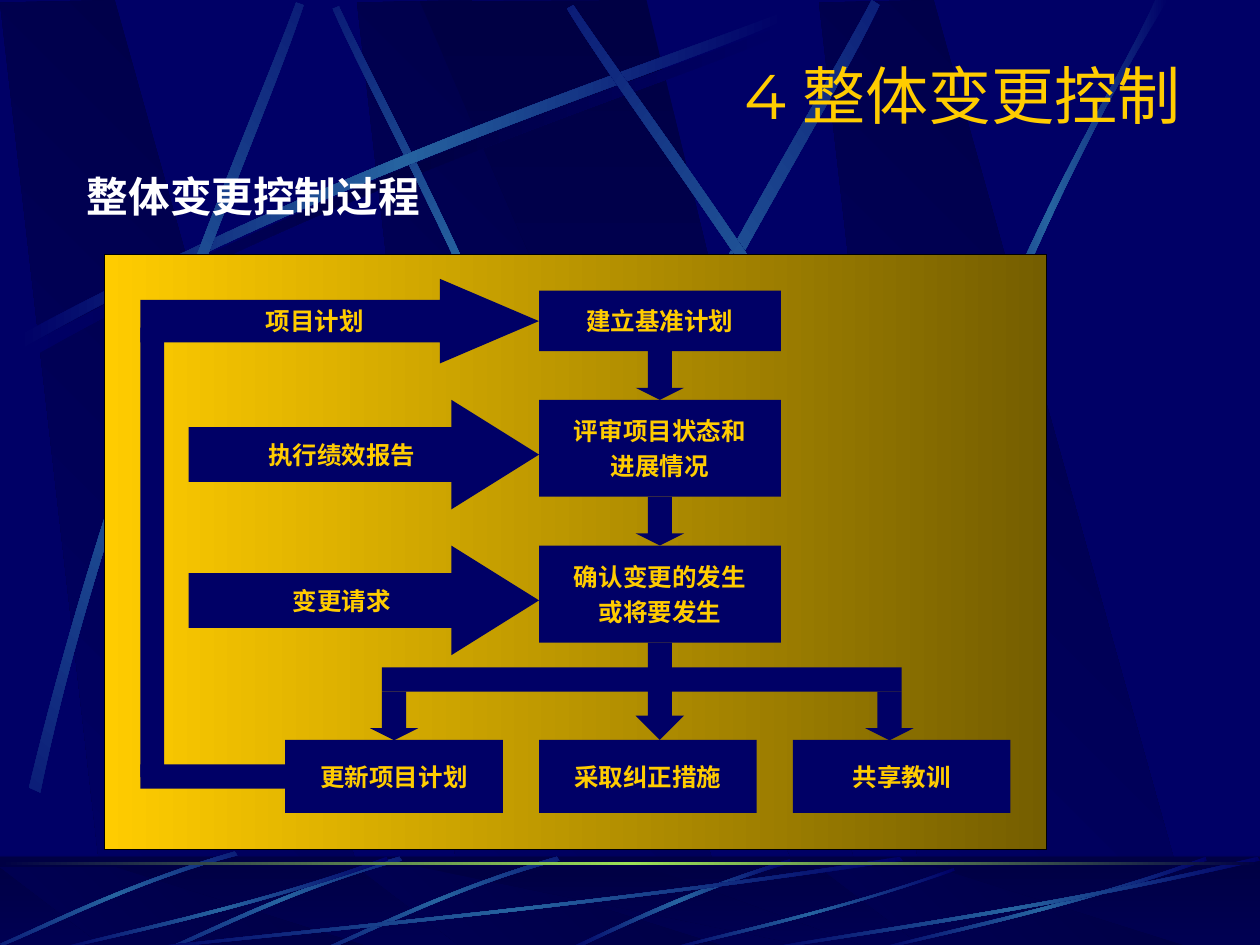
"""Build the slide on the integrated change control process."""
from math import cos, radians, sin

from lxml import etree
from pptx import Presentation
from pptx.dml.color import RGBColor
from pptx.enum.shapes import MSO_SHAPE
from pptx.enum.text import MSO_ANCHOR, MSO_AUTO_SIZE, PP_ALIGN
from pptx.oxml.ns import qn
from pptx.util import Pt

RECT, DOWN, RIGHT = MSO_SHAPE.RECTANGLE, MSO_SHAPE.DOWN_ARROW, MSO_SHAPE.RIGHT_ARROW
MIDDLE, NO_FIT = MSO_ANCHOR.MIDDLE, MSO_AUTO_SIZE.NONE
CENTER, FLUSH, LEFT = PP_ALIGN.CENTER, PP_ALIGN.RIGHT, PP_ALIGN.LEFT
NAVY, NIGHT, STEEL = RGBColor(0, 0, 0x66), RGBColor(0, 0, 0x44), RGBColor(0x26, 0x63, 0xA0)
GOLD, OLIVE = RGBColor(0xFF, 0xCC, 0), RGBColor(0x75, 0x5E, 0)
LIME, WHITE, BLACK = RGBColor(0x9C, 0xE1, 0x57), RGBColor(255, 255, 255), RGBColor(0, 0, 0)

TITLE = "4 整体变更控制 "
HEAD = "整体变更控制过程"

PANEL_X = (204, 0, 468)
WALL = [(62, 540), (217, 541.5), (65.5, 0), (0, 1.5)]
FLOOR = [(62, 543), (217, 543), (65.5, 495.5), (0, 495.5)]
WALL_BEAM = [(239.8, 0.7), (473.8, 540.7), (499.7, 540.7), (369.4, 0)]
FLOOR_BEAM = [(239.8, 495.4), (473.8, 543), (499.7, 543), (369.4, 495.4)]

SWEEP = [(10.1, 192.2), (200.2, 90), (373, 36.7), (446.4, 7.2),
         (448.6, 11.5), (375.8, 43.9), (178.6, 103), (12.2, 199.4)]
WALL_RAYS = [
    (45, [(331.2, 313.9), (281.5, 168.5), (217.4, 55.4), (193.7, 3.6),
          (190.1, 5), (212.4, 56.9), (286.6, 185.8), (326.9, 316.1)]),
    (0, SWEEP),
    (311.7, [(16.6, 450), (67, 240.5), (141.8, 75.6), (169.2, 1.4),
             (173.5, 2.9), (149, 77.8), (61.9, 265), (23, 452.9)]),
    (321.6, [(277.2, 442.1), (358.6, 230.4), (459.4, 73.4), (498.2, 0),
             (502.6, 2.9), (467.3, 77.8), (349.9, 255.6), (283.7, 447.1)]),
    (34.8, [(580.3, 403.2), (482.4, 211), (371.5, 68.4), (327.6, 2.9),
            (324, 5), (365, 72.7), (493.2, 234), (575.3, 407.5)]),
    (0, [(531.4, 283), (586.1, 124.6), (639.4, 47.5), (660.2, 0),
         (667.4, 0), (601.9, 104.4), (553.7, 231.8), (535.7, 285.8)]),
]
SLANT = [(318.2, 489.6), (255.6, 507.6), (206.6, 532.8), (184.3, 542.2),
         (185, 543.6), (207.4, 535), (262.8, 506.2), (319.7, 491.8)]
SHORT = [(221.8, 491.8), (139, 520.6), (63.4, 535.7), (31, 543.6),
         (30.2, 542.9), (61.9, 533.5), (148.3, 517), (221, 489.6)]


def shift(pts, dx, dy=0):
    return [(x + dx, y + dy) for x, y in pts]


FLOOR_RAYS = [
    (0, [(451.4, 491), (386.6, 510.5), (343.4, 534.2), (322.6, 542.9),
         (326.2, 543.6), (352.8, 530.6), (411.1, 504), (452.2, 493.2)]),
    (314.9, SLANT),
    (314.9, shift(SLANT, -90)),
    (314.9, shift(SLANT, -184, -3)),
    (0, [(516.2, 491.8), (323.3, 520.6), (148.3, 535.7), (74.2, 543.6),
         (72, 542.9), (145.4, 533.5), (345.6, 517), (514.1, 489.6)]),
    (0, SHORT),
    (0, [(545.8, 497.5), (473.8, 522.7), (408.2, 536.4), (380.2, 543.6),
         (379.4, 542.9), (406.8, 534.2), (481.7, 519.8), (545, 496)]),
    (0, shift(SHORT, 468)),
    (0, [(720, 491.8), (595.4, 520.6), (481.7, 535.7), (433.4, 543.6),
         (432, 542.9), (479.5, 533.5), (609.1, 517), (718.6, 489.6)]),
]

MID_X, MID_W = 308, 138.2
STEPS = [(166.1, 34.6, ["建立基准计划"]),
         (228.5, 55.4, ["评审项目状态和", "进展情况"]),
         (311.8, 55.4, ["确认变更的发生", "或将要发生"])]
ENDS = ["更新项目计划", "采取纠正措施", "共享教训"]
END_X, END_Y, END_W, END_H, PITCH = 163, 422.8, 124.4, 41.8, 145
DROPS = [(377.1, 200.7, 27.8, 0.25), (377.1, 283.9, 27.8, 0.25), (377.1, 367.2, 55.6, 0.5),
         (225.2, 395.2, 27.8, 0.25), (508.3, 395.2, 27.8, 0.25)]
BARS = [(218.2, 381.4, 297, 13.9), (80.2, 436.8, 82.8, 13.9), (80.2, 187.2, 13.7, 257)]
INPUTS = [(80.2, 159.3, 48.4, 1.17, "项目计划"),
          (107.8, 228.5, 62.6, 0.8, "执行绩效报告"),
          (107.8, 311.8, 62.6, 0.8, "变更请求")]


def blend(shape, colors, angle):
    shape.shadow.inherit = False
    shape.line.fill.background()
    shape.fill.gradient()
    shape.fill.gradient_angle = -angle % 360
    stops = shape.element.spPr.find(".//" + qn("a:gsLst"))
    for old in list(stops):
        stops.remove(old)
    for i, color in enumerate(colors):
        stop = etree.SubElement(stops, qn("a:gs"), pos=str(100000 * i // (len(colors) - 1)))
        etree.SubElement(stop, qn("a:srgbClr"), val=str(color))


def outline(shapes, pts, colors, angle):
    pts = [(Pt(x), Pt(y)) for x, y in pts]
    pen = shapes.build_freeform(*pts[0], scale=1.0)
    pen.add_line_segments(pts[1:], close=True)
    shape = pen.convert_to_shape()
    blend(shape, colors, angle)
    return shape


def spin(x, y, turn):
    c, s = cos(radians(turn)), sin(radians(turn))
    return x * c - y * s, x * s + y * c


def bend(lines):
    lines[0].addprevious(arc := etree.Element(qn("a:cubicBezTo")))
    for line in lines:
        arc.append(line[0])
        line.getparent().remove(line)


def ray(shapes, turn, pts, glow=STEEL):
    flat = [spin(x, y, -turn) for x, y in pts]
    shape = outline(shapes, flat, (NAVY, glow, NAVY), 180)
    lines = shape.element.spPr.findall(".//" + qn("a:lnTo"))
    bend(lines[:3])
    bend(lines[4:7])
    wide, high = shape.width, shape.height
    x, y = spin(shape.left + wide / 2, shape.top + high / 2, turn)
    shape.left, shape.top = round(x - wide / 2), round(y - high / 2)
    shape.rotation = turn


def block(shapes, kind, x, y, w, h, color=NAVY):
    shape = shapes.add_shape(kind, Pt(x), Pt(y), Pt(w), Pt(h))
    shape.shadow.inherit = False
    shape.fill.solid()
    shape.fill.fore_color.rgb = color
    shape.line.fill.background()
    return shape


def write(frame, lines, font, size, color, bold, align, before):
    for i, line in enumerate(lines):
        para = frame.add_paragraph() if i else frame.paragraphs[0]
        para.alignment, para.space_before = align, Pt(before)
        run = para.add_run()
        run.text = line
        run.font.name, run.font.size, run.font.bold = font, Pt(size), bold
        run.font.color.rgb = color


def label(shape, lines):
    frame = shape.text_frame
    frame.word_wrap, frame.vertical_anchor = False, MIDDLE
    write(frame, lines, "Arial", 14, GOLD, True, CENTER, 3.5)


def place(shape, x, y, w, h):
    shape.left, shape.top, shape.width, shape.height = Pt(x), Pt(y), Pt(w), Pt(h)
    shape.text_frame.auto_size, shape.text_frame.word_wrap = NO_FIT, True
    return shape.text_frame


def panels(shapes, panel, beam):
    for x in PANEL_X:
        outline(shapes, shift(panel, x), (NIGHT, NAVY), 135)
    outline(shapes, beam, (NIGHT, NAVY), 90)


def scenery(slide, master):
    group = slide.shapes.add_group_shape()
    shapes = group.shapes
    panels(shapes, WALL, WALL_BEAM)
    ray(shapes, 0, shift(SWEEP, 4.3, 5.8), NIGHT)
    for turn, pts in WALL_RAYS:
        ray(shapes, turn, pts)
    blend(block(shapes, RECT, 0, 489.6, 720, 54), (NIGHT, NAVY), 90)
    panels(shapes, FLOOR, FLOOR_BEAM)
    veil = block(shapes, RECT, 0, 489, 720, 54, NIGHT)
    tint = veil.element.spPr.find(".//" + qn("a:srgbClr"))
    etree.SubElement(tint, qn("a:alpha"), val="50000")
    for turn, pts in FLOOR_RAYS:
        ray(shapes, turn, pts)
    blend(block(shapes, RECT, 0, 492.4, 720, 1.7), (NIGHT, LIME, NIGHT), 180)
    for i, node in enumerate(group.element.iter(qn("p:cNvPr")), 100):
        node.set("id", str(i))
    master.shapes.element.insert(2, group.element)


def flow(shapes):
    board = block(shapes, RECT, 59.8, 145.4, 538.2, 340.2)
    blend(board, (GOLD, OLIVE), 0)
    board.line.color.rgb, board.line.width = BLACK, Pt(0.75)
    for y, h, lines in STEPS:
        label(block(shapes, RECT, MID_X, y, MID_W, h), lines)
    for i, text in enumerate(ENDS):
        label(block(shapes, RECT, END_X + i * PITCH, END_Y, END_W, END_H), [text])
    for mid, y, h, head in DROPS:
        block(shapes, DOWN, mid - 13.8, y, 27.6, h).adjustments[1] = head
    for bar in BARS:
        block(shapes, RECT, *bar)
    for x, y, h, head, text in INPUTS:
        arrow = block(shapes, RIGHT, x, y, MID_X - x, h)
        arrow.adjustments[1] = head
        label(arrow, [text])


def main():
    deck = Presentation()
    deck.slide_width, deck.slide_height = Pt(720), Pt(540)
    master = deck.slide_master
    master.background.fill.solid()
    master.background.fill.fore_color.rgb = NAVY
    slide = deck.slides.add_slide(deck.slide_layouts[1])
    scenery(slide, master)
    frame = place(slide.shapes.title, 77.8, 28.4, 612, 50.4)
    frame.vertical_anchor = MIDDLE
    write(frame, [TITLE], "Montserrat", 36, GOLD, False, FLUSH, 0)
    frame = place(slide.placeholders[1], 42.5, 94.3, 437, 36.7)
    write(frame, [HEAD], "Arial", 23.75, WHITE, True, LEFT, 7)
    props = frame.paragraphs[0]._p.get_or_add_pPr()
    props.set("marL", "0")
    props.set("indent", "0")
    etree.SubElement(props, qn("a:buNone"))
    flow(slide.shapes)
    deck.save("out.pptx")


if __name__ == "__main__":
    main()
